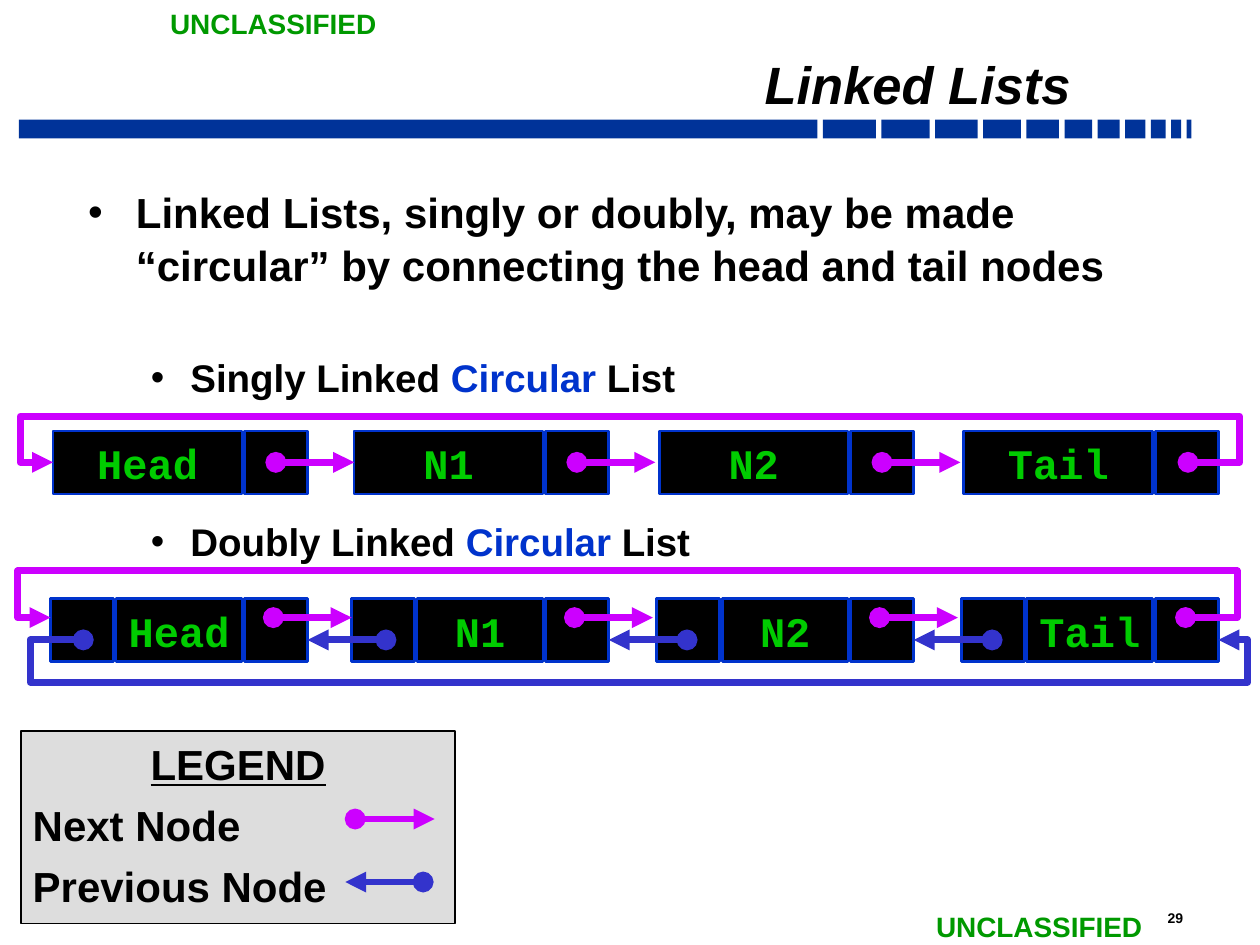
from lxml import etree
from pptx import Presentation
from pptx.dml.color import RGBColor
from pptx.enum.shapes import MSO_CONNECTOR, MSO_SHAPE
from pptx.enum.text import MSO_ANCHOR, PP_ALIGN
from pptx.oxml.ns import qn
from pptx.util import Cm, Pt

RECTANGLE, STRAIGHT = MSO_SHAPE.RECTANGLE, MSO_CONNECTOR.STRAIGHT
TOP, MIDDLE, BOTTOM = MSO_ANCHOR.TOP, MSO_ANCHOR.MIDDLE, MSO_ANCHOR.BOTTOM
LEFT, CENTER, RIGHT = PP_ALIGN.LEFT, PP_ALIGN.CENTER, PP_ALIGN.RIGHT

BLACK = RGBColor(0, 0, 0)
NAVY = RGBColor(0x00, 0x33, 0x99)
BLUE = RGBColor(0x00, 0x33, 0xCC)
MARKING_GREEN = RGBColor(0x00, 0x99, 0x00)
NODE_GREEN = RGBColor(0x00, 0xCC, 0x00)
NEXT_COLOR = RGBColor(0xCC, 0x00, 0xFF)
PREVIOUS_COLOR = RGBColor(0x33, 0x33, 0xCC)
GREY = RGBColor(0xDD, 0xDD, 0xDD)

# Content; lengths in centimetres, spacing in points
TITLE = "Linked Lists"
MARKING = "UNCLASSIFIED"
MARKING_PLACES = [(3.18, 0), (18.62, 18.21)]
PAGE_NUMBER = "29"
# (runs, size, space before, left margin, hanging indent)
BULLETS = [
    ([("Linked Lists, singly or doubly, may be made “circular” "
       "by connecting the head and tail nodes", BLACK)], 24, 0, 0.96, 0.96),
    ([("Singly Linked ", BLACK), ("Circular", BLUE), (" List", BLACK)], 22, 35.7, 2.06, 0.8),
    ([("Doubly Linked ", BLACK), ("Circular", BLUE), (" List", BLACK)], 22, 66, 2.06, 0.8),
]
NODES = [("Head", 6.2), ("N1", 12.27), ("N2", 18.42), ("Tail", 24.56)]  # name, right edge
SINGLY_TOP, DOUBLY_TOP = 8.69, 12.07
SINGLY_NEXT_Y, DOUBLY_NEXT_Y, PREVIOUS_Y = 9.32, 12.45, 12.9
CELL, ARROW_LENGTH = 1.27, 1.58
LOOPS = [  # colour, start x, far x, end far x, end x, end y, bypass y
    (NEXT_COLOR, 23.95, 24.99, 0.41, 1.07, SINGLY_NEXT_Y, 8.39),
    (NEXT_COLOR, 23.9, 24.94, 0.36, 1.02, DOUBLY_NEXT_Y, 11.51),
    (PREVIOUS_COLOR, 1.68, 0.61, 25.15, 24.56, PREVIOUS_Y, 13.75),
]
LEGEND = ["LEGEND", "Next Node", "Previous Node"]
BAR_WIDTHS = [16.1, 1.07, 0.97, 0.86, 0.76, 0.66, 0.56, 0.44, 0.41, 0.3, 0.2, 0.1]
BAR_GAP = 0.11

presentation = Presentation()
presentation.slide_width, presentation.slide_height = Cm(25.4), Cm(19.05)
slide = presentation.slides.add_slide(presentation.slide_layouts[5])
shapes = slide.shapes


def format_frame(frame, anchor=TOP, wrap=True, inset_x=0.23, inset_y=0.1):
    frame.word_wrap, frame.vertical_anchor = wrap, anchor
    frame.margin_left = frame.margin_right = Cm(inset_x)
    frame.margin_top = frame.margin_bottom = Cm(inset_y)


def write(paragraph, text, size=24, color=BLACK, font="Arial", align=LEFT,
          italic=False, underline=False, before=0, line_spacing=1.0):
    """Append a bold run and set the format of its paragraph."""
    paragraph.alignment = align
    paragraph.space_before, paragraph.line_spacing = Pt(before), line_spacing
    run = paragraph.add_run()
    run.text = text
    run.font.name, run.font.size, run.font.bold = font, Pt(size), True
    run.font.italic, run.font.underline = italic, underline
    run.font.color.rgb = color


def next_paragraph(frame, index):
    return frame.add_paragraph() if index else frame.paragraphs[0]


def add_label(text, left, top, width, height, wrap=True, **text_format):
    frame = shapes.add_textbox(Cm(left), Cm(top), Cm(width), Cm(height)).text_frame
    format_frame(frame, wrap=wrap, inset_x=0.25, inset_y=0.13)
    write(frame.paragraphs[0], text, **text_format)


def add_box(left, top, width, height, fill, line=None, line_width=1.5):
    box = shapes.add_shape(RECTANGLE, Cm(left), Cm(top), Cm(width), Cm(height))
    box.shadow.inherit = False
    box.fill.solid()
    box.fill.fore_color.rgb = fill
    if line is None:
        box.line.fill.background()
    else:
        box.line.color.rgb, box.line.width = line, Pt(line_width)
    return box


def add_arrow(points, color):
    """Draw a line with a dot at the first point and an arrowhead at the last."""
    corners = [(Cm(x), Cm(y)) for x, y in points]
    if len(corners) == 2:
        arrow = shapes.add_connector(STRAIGHT, *corners[0], *corners[1])
        etree.SubElement(arrow._element.spPr, qn("a:effectLst"))
    else:
        builder = shapes.build_freeform(*corners[0])
        builder.add_line_segments(corners[1:], close=False)
        arrow = builder.convert_to_shape()
        arrow.shadow.inherit = False
        arrow.fill.background()
    arrow.line.color.rgb, arrow.line.width = color, Pt(4)
    line = arrow.line._get_or_add_ln()
    etree.SubElement(line, qn("a:round"))
    etree.SubElement(line, qn("a:headEnd"), type="oval")
    etree.SubElement(line, qn("a:tailEnd"), type="triangle")


def add_node(name, right, top, doubly):
    """Draw the cells of one node, measured from its right edge."""
    left, width = (right - 3.86, 2.54) if doubly else (right - 5.13, 3.81)
    box = add_box(left, top, width, CELL, BLACK, BLUE)
    format_frame(box.text_frame, MIDDLE)
    write(box.text_frame.paragraphs[0], name, color=NODE_GREEN,
          font="Courier New", align=CENTER)
    add_box(right - CELL, top, CELL, CELL, BLACK, BLUE)
    if doubly:
        add_box(right - 5.18, top, CELL, CELL, BLACK, BLUE)


# Header and markings
bar_left = 0.38
for bar_width in BAR_WIDTHS:
    add_box(bar_left, 2.41, bar_width, 0.38, NAVY)
    bar_left += bar_width + BAR_GAP
for left, top in MARKING_PLACES:
    add_label(MARKING, left, top, 4.72, 0.94, wrap=False, size=16, color=MARKING_GREEN)
add_label(PAGE_NUMBER, 23.29, 18.21, 1.37, 0.58, size=8)

title = shapes.title
title.left, title.top, title.width, title.height = Cm(4.24), Cm(0.89), Cm(17.58), Cm(1.5)
format_frame(title.text_frame, BOTTOM)
write(title.text_frame.paragraphs[0], TITLE, size=30, align=RIGHT, italic=True,
      line_spacing=0.7)

# Bulleted text
body = shapes.add_textbox(Cm(1.55), Cm(3.61), Cm(23.04), Cm(13.13)).text_frame
format_frame(body)
for index, (runs, size, before, margin, hanging) in enumerate(BULLETS):
    paragraph = next_paragraph(body, index)
    for text, color in runs:
        write(paragraph, text, size=size, color=color, before=before, line_spacing=1.05)
    properties = paragraph._p.get_or_add_pPr()
    properties.set("marL", str(Cm(margin)))
    properties.set("indent", str(-Cm(hanging)))
    bullet_color = etree.SubElement(properties, qn("a:buClr"))
    etree.SubElement(bullet_color, qn("a:srgbClr"), val=str(BLACK))
    etree.SubElement(properties, qn("a:buFont"), typeface="Arial")
    etree.SubElement(properties, qn("a:buChar"), char="•")

# Lists and their links
for top, doubly in ((SINGLY_TOP, False), (DOUBLY_TOP, True)):
    for name, right in NODES:
        add_node(name, right, top, doubly)
for name, right in NODES[:-1]:
    for start, y, color, length in (
            (right - 0.64, SINGLY_NEXT_Y, NEXT_COLOR, ARROW_LENGTH),
            (right - 0.69, DOUBLY_NEXT_Y, NEXT_COLOR, ARROW_LENGTH),
            (right + ARROW_LENGTH, PREVIOUS_Y, PREVIOUS_COLOR, -ARROW_LENGTH)):
        add_arrow([(start, y), (start + length, y)], color)
for color, start, start_side, end_side, end, y, bypass in LOOPS:
    add_arrow([(start, y), (start_side, y), (start_side, bypass),
               (end_side, bypass), (end_side, y), (end, y)], color)

# Legend
legend = add_box(0.43, 14.73, 8.74, 3.89, GREY, BLACK, 1).text_frame
format_frame(legend)
for index, text in enumerate(LEGEND):
    heading = index == 0
    write(next_paragraph(legend, index), text, align=CENTER if heading else LEFT,
          underline=heading, before=0 if heading else 4.8, line_spacing=1.05)
add_arrow([(7.16, 16.51), (8.76, 16.51)], NEXT_COLOR)
add_arrow([(8.53, 17.78), (6.96, 17.78)], PREVIOUS_COLOR)

presentation.save("out.pptx")
